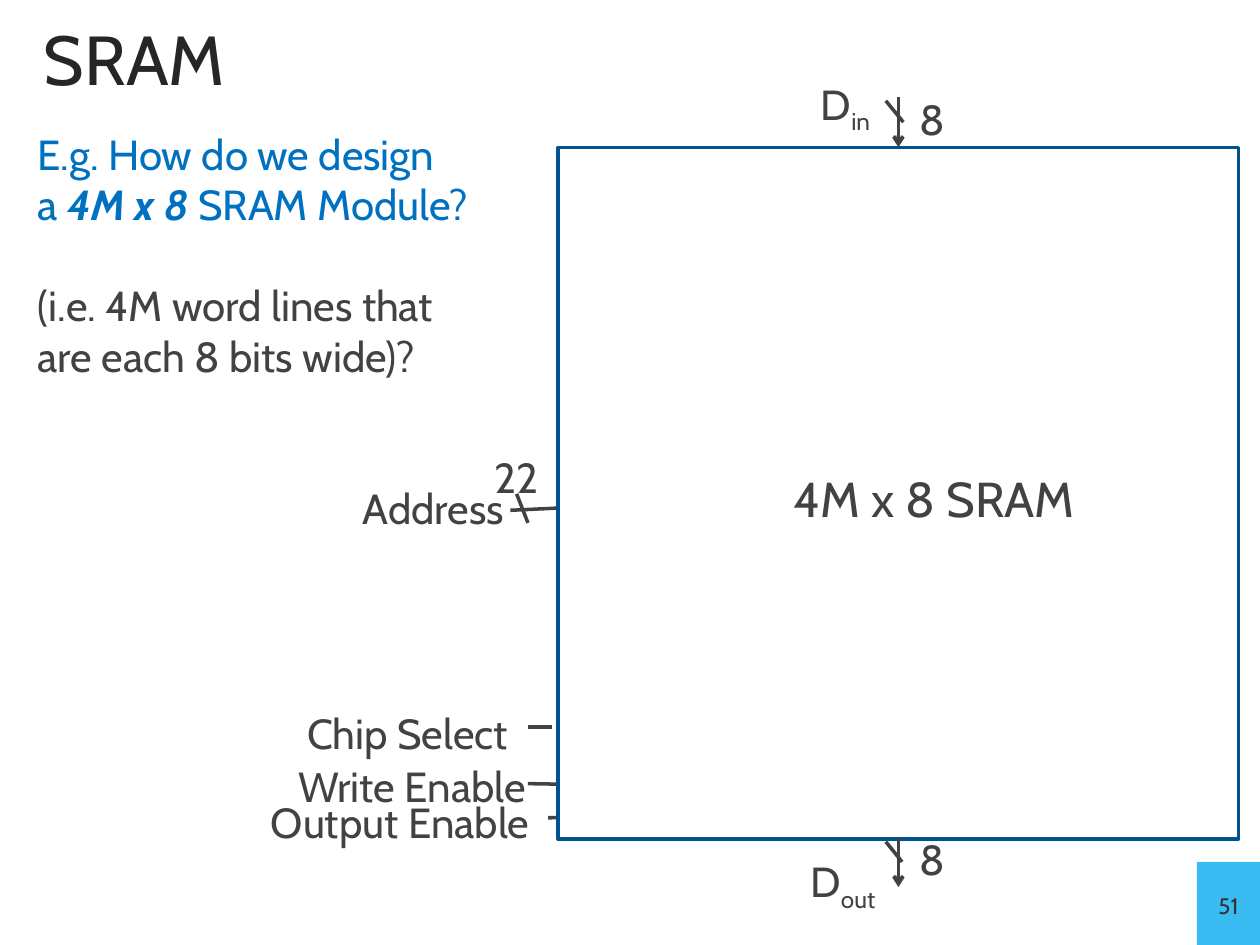
from lxml.etree import SubElement
from pptx import Presentation
from pptx.dml.color import RGBColor
from pptx.enum.shapes import MSO_CONNECTOR, MSO_SHAPE
from pptx.enum.text import MSO_ANCHOR, MSO_AUTO_SIZE, PP_ALIGN
from pptx.oxml.ns import qn
from pptx.util import Pt

FONT = "Cabin"
INK = RGBColor(0x42, 0x42, 0x42)
DARK = RGBColor(0x26, 0x26, 0x26)
GREY = RGBColor(0x32, 0x32, 0x32)
BLUE = RGBColor(0x00, 0x70, 0xC0)
NAVY = RGBColor(0x00, 0x53, 0x8E)
SKY = RGBColor(0x3A, 0xBC, 0xF2)
WHITE = RGBColor(0xFF, 0xFF, 0xFF)

LABELS = [
    ("22", "", 274.3, 249.8, 41.8, 41),
    ("Address", "", 195.8, 267.8, 103.7, 41),
    ("D", "out", 454.3, 480.2, 54.7, 41),
    ("D", "in", 460.8, 36, 44.6, 38.2),
    ("8", "", 518.4, 45.4, 28.1, 38.2),
    ("8", "", 518.4, 468, 28.1, 41),
    ("Chip Select", "", 163.4, 396, 139, 41),
    ("Write Enable", "", 159.1, 426.2, 152.6, 41),
    ("Output Enable", "", 144, 447.1, 169.2, 41),
]
WIRES = [
    (291.6, 291.6, 339.1, 289.4),
    (301.7, 415.4, 315.4, 415.4),
    (301.7, 447.8, 429.1, 450),
    (313.2, 467.3, 456.5, 466.6),
]
TICKS = [
    (295.2, 282.2, 301.7, 298.8),
    (506.2, 57.6, 516.2, 69.8),
    (506.2, 481, 515.5, 492.5),
]


def add_run(para, text, size, color=INK, bold=False, slant=False):
    """Append one styled run to a paragraph."""
    run = para.add_run()
    run.text = text
    font = run.font
    font.name, font.size, font.color.rgb = FONT, Pt(size), color
    font.bold, font.italic = bold, slant
    return run


def add_text(slide, left, top, width, height, wrap=False, anchor=MSO_ANCHOR.TOP):
    """Add an empty text box and return its frame."""
    box = slide.shapes.add_textbox(Pt(left), Pt(top), Pt(width), Pt(height))
    frame = box.text_frame
    frame.word_wrap = wrap
    frame.vertical_anchor = anchor
    if anchor == MSO_ANCHOR.TOP:
        frame.auto_size = MSO_AUTO_SIZE.SHAPE_TO_FIT_TEXT
    return frame


def add_label(slide, text, sub, *place):
    """Add a centred signal label with an optional subscript."""
    para = add_text(slide, *place).paragraphs[0]
    para.alignment = PP_ALIGN.CENTER
    para.line_spacing = 1.16
    add_run(para, text, 24)
    if sub:
        run = add_run(para, sub, 24)
        run.font._element.set("baseline", "-25000")


def add_rect(slide, left, top, width, height, fill, edge=None):
    """Add a flat rectangle."""
    rect = slide.shapes.add_shape(
        MSO_SHAPE.RECTANGLE, Pt(left), Pt(top), Pt(width), Pt(height))
    rect.shadow.inherit = False
    rect.fill.solid()
    rect.fill.fore_color.rgb = fill
    if edge is None:
        rect.line.fill.background()
    else:
        rect.line.color.rgb = edge
        rect.line.width = Pt(2)
    return rect


def add_line(slide, x1, y1, x2, y2, arrow=False):
    """Add a straight wire, with an arrowhead at its end if asked."""
    line = slide.shapes.add_connector(
        MSO_CONNECTOR.STRAIGHT, Pt(x1), Pt(y1), Pt(x2), Pt(y2))
    line.line.color.rgb = INK
    line.line.width = Pt(2)
    if arrow:
        SubElement(line.line._get_or_add_ln(), qn("a:tailEnd"), type="arrow")
    SubElement(line._element.spPr, qn("a:effectLst"))
    return line


def add_title(slide):
    """Add the slide title."""
    frame = add_text(slide, 18, 12.2, 684, 41.8, True, MSO_ANCHOR.MIDDLE)
    add_run(frame.paragraphs[0], "SRAM", 39.6, DARK)


def add_query(slide):
    """Add the design question and its gloss."""
    frame = add_text(slide, 14.4, 69.8, 324.7, 152.6, True)
    add_run(frame.paragraphs[0], "E.g. How do we design", 24, BLUE)
    para = frame.add_paragraph()
    add_run(para, "a ", 24, BLUE)
    add_run(para, "4M x 8", 24, BLUE, True, True)
    add_run(para, " SRAM Module?", 24, BLUE)
    para = frame.add_paragraph()
    para.space_before = Pt(28.9)
    add_run(para, "(i.e. 4M word lines that", 24)
    add_run(frame.add_paragraph(), "are each 8 bits wide)?", 24)


def add_block(slide):
    """Add the memory block with its name and data arrows."""
    block = add_rect(slide, 319, 84.2, 388.8, 395.3, WHITE, NAVY)
    name = add_text(slide, 446.4, 264.2, 188.6, 41)
    add_run(name.paragraphs[0], "4M x 8 SRAM", 28)
    feed = add_line(slide, 513.4, 55.4, 513.4, 84.2, True)
    feed.end_connect(block, 0)
    drain = add_line(slide, 513.4, 479.5, 513.4, 506.9, True)
    drain.begin_connect(block, 2)


def add_number(slide):
    """Add the page number on its tile."""
    place = (684, 492.5, 36, 47.5)
    add_rect(slide, *place, SKY)
    frame = add_text(slide, *place, anchor=MSO_ANCHOR.MIDDLE)
    para = frame.paragraphs[0]
    para.alignment = PP_ALIGN.CENTER
    run = add_run(para, "51", 16, GREY)
    run.font._element.set("cap", "small")


def main():
    """Build and save the slide."""
    deck = Presentation()
    deck.slide_width, deck.slide_height = Pt(720), Pt(540)
    slide = deck.slides.add_slide(deck.slide_layouts[6])
    add_number(slide)
    add_title(slide)
    for wire in WIRES:
        add_line(slide, *wire)
    add_block(slide)
    for tick in TICKS:
        add_line(slide, *tick)
    for label in LABELS:
        add_label(slide, *label)
    add_query(slide)
    deck.save("out.pptx")


if __name__ == "__main__":
    main()
